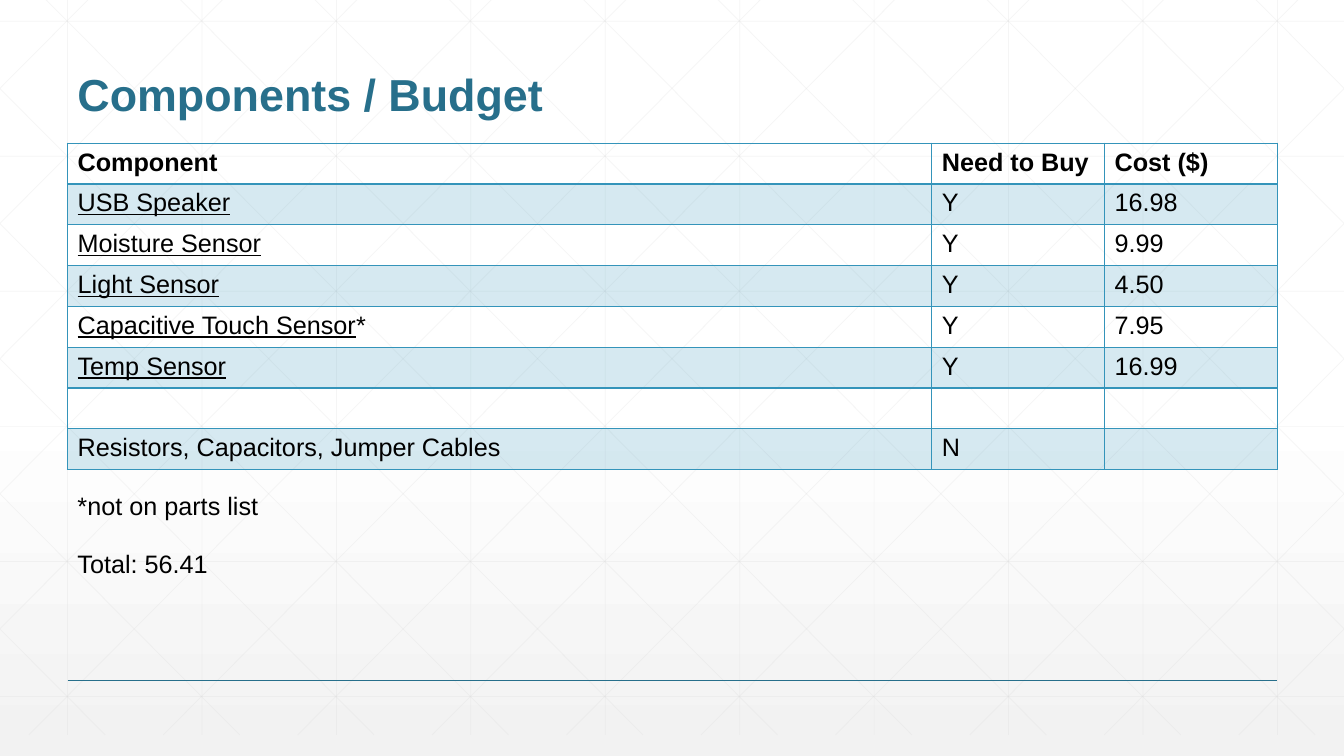
from dataclasses import dataclass

from lxml.etree import SubElement
from pptx import Presentation
from pptx.dml.color import RGBColor
from pptx.enum.shapes import MSO_CONNECTOR as Connector
from pptx.enum.text import MSO_ANCHOR as Anchor, MSO_AUTO_SIZE as AutoSize
from pptx.oxml.ns import qn
from pptx.util import Inches, Pt

WIDTH, HEIGHT = 13.33, 7.5
LEFT, CONTENT_WIDTH = 0.67, 12
BLUE, DARK_BLUE, BLACK, GRAY = "3494BA", "276F8B", "000000", "D9D9D9"
FONT = "Arial"


@dataclass
class Segment:
    x1: float
    y1: float
    x2: float
    y2: float


@dataclass
class Part:
    name: str = ""
    buy: str = ""
    cost: str = ""
    mark: str = ""
    underlined: bool = True


@dataclass
class Caption:
    text: str
    top: float
    width: float
    height: float = 0.4
    size: int = 18
    color: str = BLACK
    bold: bool = False
    wrap: bool = True
    anchor: Anchor = Anchor.TOP
    line_spacing: float = 1.0
    grow: bool = True


PARTS = [
    Part("USB Speaker", "Y", "16.98"),
    Part("Moisture Sensor", "Y", "9.99"),
    Part("Light Sensor", "Y", "4.50"),
    Part("Capacitive Touch Sensor", "Y", "7.95", mark="*"),
    Part("Temp Sensor", "Y", "16.99"),
    Part(),
    Part("Resistors, Capacitors, Jumper Cables", "N", underlined=False),
]
CAPTIONS = [
    Caption("Components / Budget", 0.25, CONTENT_WIDTH, 1, 32, DARK_BLUE, True,
            anchor=Anchor.BOTTOM, line_spacing=0.9, grow=False),
    Caption("*not on parts list", 4.82, 2.01, wrap=False),
    Caption("Total: 56.41", 5.39, 7.76),
]


def rgb(color: str) -> RGBColor:
    return RGBColor.from_string(color)


def set_opacity(solid_fill, percent: int) -> None:
    SubElement(solid_fill.find(qn("a:srgbClr")), qn("a:alpha"), val=str(percent * 1000))


def style_font(paragraph, size: int, color: str, bold: bool) -> None:
    font = paragraph.font
    font.name, font.size, font.bold = FONT, Pt(size), bold
    font.color.rgb = rgb(color)


def draw_line(slide, seg: Segment, color: str, width: float, opacity: int = 100) -> None:
    line = slide.shapes.add_connector(
        Connector.STRAIGHT, Inches(seg.x1), Inches(seg.y1), Inches(seg.x2), Inches(seg.y2))
    line.line.width = Pt(width)
    line.line.color.rgb = rgb(color)
    properties = line._element.spPr
    if opacity < 100:
        set_opacity(properties.find(qn("a:ln")).find(qn("a:solidFill")), opacity)
    SubElement(properties, qn("a:effectLst"))


def lattice() -> list[Segment]:
    """Square grid plus both families of diagonals, cut off at the slide's sides."""
    top, bottom, step = -0.21, 7.29, 4 / 3
    run = 7.46
    slope = (bottom - top) / run
    segments = [Segment(LEFT + i * step, top, LEFT + i * step, bottom) for i in range(10)]
    segments += [Segment(0, 0.21 + i * 1.34, WIDTH, 0.21 + i * 1.34) for i in range(6)]
    for i in range(-5, 10):
        start = 0.25 + i * step
        x1, x2 = max(start, 0), min(start + run, WIDTH)
        y1, y2 = top + (x1 - start) * slope, top + (x2 - start) * slope
        segments += [Segment(x1, y1, x2, y2), Segment(WIDTH - x1, y1, WIDTH - x2, y2)]
    return segments


def draw_caption(slide, caption: Caption) -> None:
    box = slide.shapes.add_textbox(Inches(LEFT), Inches(caption.top),
                                   Inches(caption.width), Inches(caption.height))
    frame = box.text_frame
    frame.word_wrap = caption.wrap
    frame.vertical_anchor = caption.anchor
    frame.auto_size = AutoSize.SHAPE_TO_FIT_TEXT if caption.grow else AutoSize.NONE
    paragraph = frame.paragraphs[0]
    paragraph.text = caption.text
    paragraph.line_spacing = caption.line_spacing
    style_font(paragraph, caption.size, caption.color, caption.bold)


def style_cell(cell, row: int) -> None:
    properties = cell._tc.get_or_add_tcPr()
    widths = {"a:lnL": 1, "a:lnR": 1, "a:lnT": 2 if row == 1 else 1, "a:lnB": 2 if row == 0 else 1}
    for side, width in widths.items():
        border = SubElement(properties, qn(side), w=str(Pt(width)))
        SubElement(SubElement(border, qn("a:solidFill")), qn("a:srgbClr"), val=BLUE)
    if row % 2:
        cell.fill.solid()
        cell.fill.fore_color.rgb = rgb(BLUE)
        set_opacity(properties.find(qn("a:solidFill")), 20)
    else:
        cell.fill.background()
    style_font(cell.text_frame.paragraphs[0], 18, BLACK, row == 0)


def draw_budget(slide, parts: list[Part]) -> None:
    header = Part("Component", "Need to Buy", "Cost ($)", underlined=False)
    rows = [header, *parts]
    budget = slide.shapes.add_table(len(rows), 3, Inches(LEFT), Inches(1.42),
                                    Inches(CONTENT_WIDTH), Inches(3.24)).table
    budget.first_row = budget.horz_banding = False
    for column, share in zip(budget.columns, (5, 1, 1)):
        column.width = Inches(CONTENT_WIDTH * share / 7)
    for r, part in enumerate(rows):
        for c, pieces in enumerate(([part.name, part.mark], [part.buy], [part.cost])):
            cell = budget.cell(r, c)
            style_cell(cell, r)
            for piece in filter(None, pieces):
                run = cell.text_frame.paragraphs[0].add_run()
                run.text = piece
                if part.underlined and piece == part.name:
                    run.font.underline = True


def main() -> None:
    deck = Presentation()
    deck.slide_width, deck.slide_height = Inches(WIDTH), Inches(HEIGHT)
    slide = deck.slides.add_slide(deck.slide_layouts[6])

    # Background: white, fading to light gray at the bottom
    backdrop = slide.background.fill
    backdrop.gradient()
    backdrop.gradient_angle = 270
    for stop, position, color in zip(backdrop.gradient_stops, (0.53, 1), ("FFFFFF", "F2F2F2")):
        stop.position = position
        stop.color.rgb = rgb(color)

    # Lattice and footer rule
    for segment in lattice():
        draw_line(slide, segment, GRAY, 0.5, opacity=25)
    draw_line(slide, Segment(LEFT, 6.75, LEFT + CONTENT_WIDTH, 6.75), DARK_BLUE, 1)

    # Title, budget table and notes below it
    draw_budget(slide, PARTS)
    for caption in CAPTIONS:
        draw_caption(slide, caption)

    deck.save("out.pptx")


if __name__ == "__main__":
    main()
